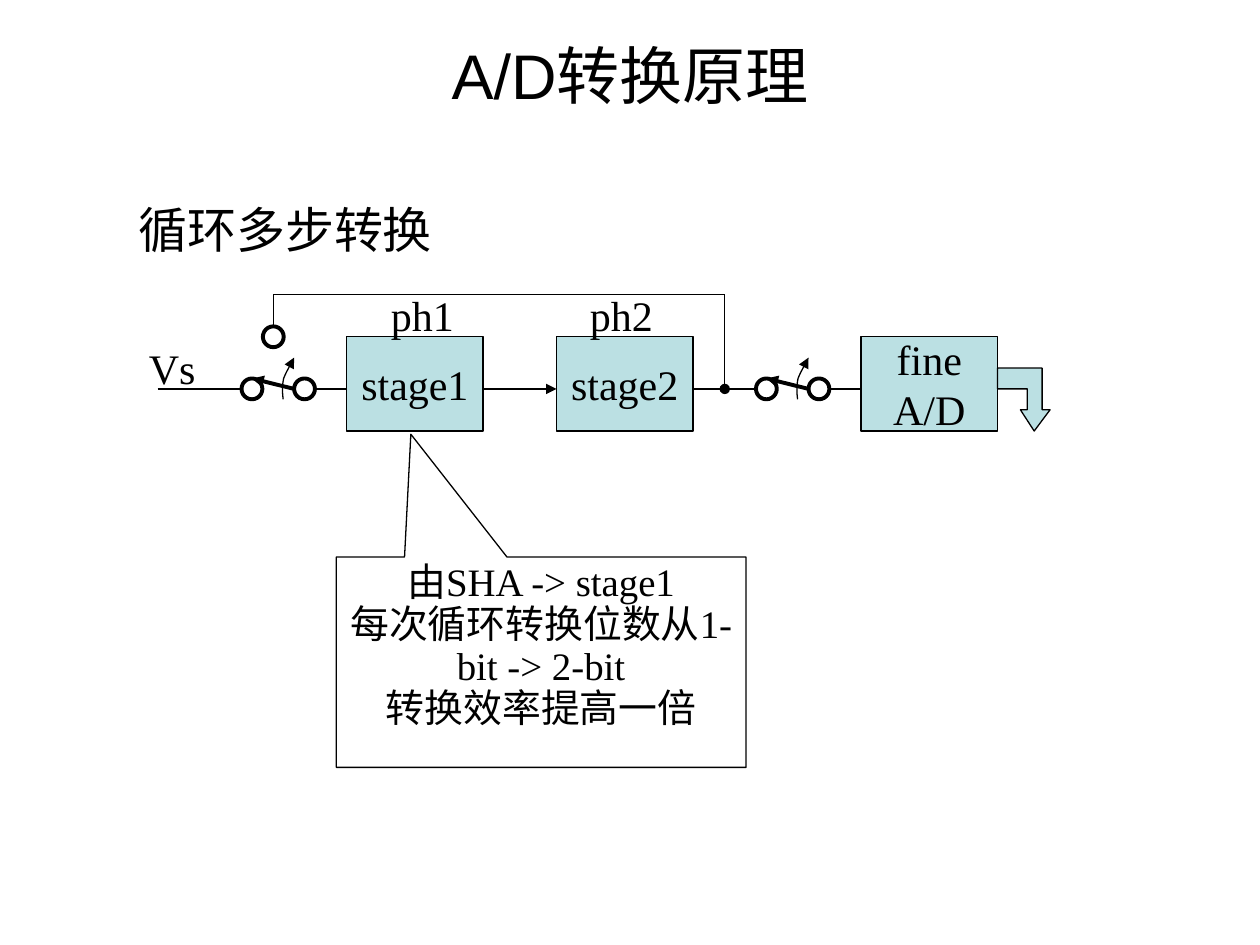
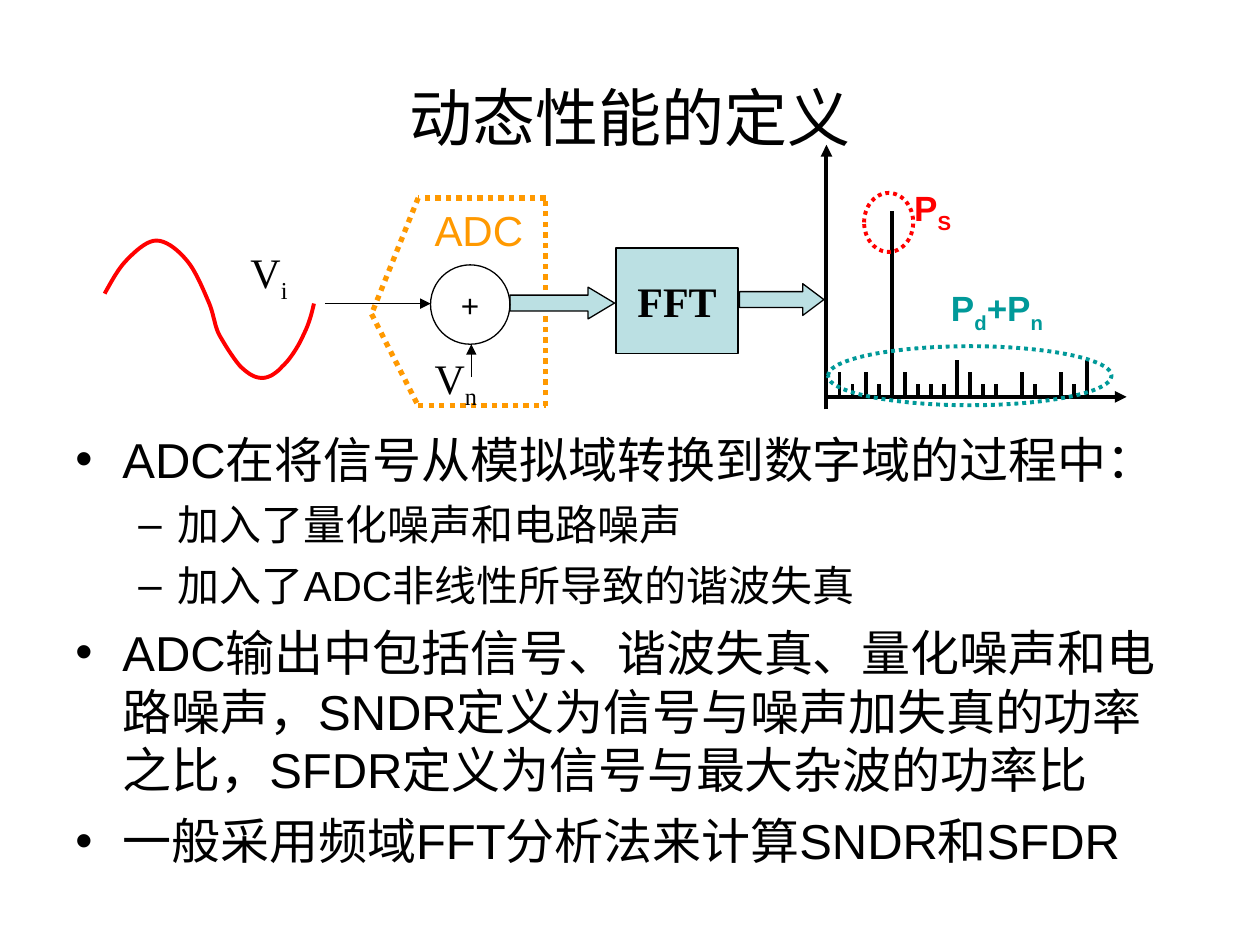
from dataclasses import dataclass
from itertools import pairwise
from typing import Any

from lxml.etree import SubElement
from pptx import Presentation
from pptx.dml.color import RGBColor
from pptx.enum.dml import MSO_LINE
from pptx.enum.shapes import MSO_CONNECTOR, MSO_SHAPE as SHAPE
from pptx.enum.text import MSO_ANCHOR as ANCHOR, PP_ALIGN as ALIGN
from pptx.oxml.ns import qn
from pptx.util import Cm, Pt

COLORS = {
    "ink": "000000",
    "block": "BBE0E3",
    "adc": "FF9900",
    "signal": "FF0000",
    "noise": "009999",
}
SANS, SERIF = "Arial", "Times New Roman"
THIN, THICK, HEAVY = 0.75, 2.25, 3


def color(name):
    return RGBColor.from_string(COLORS[name])


def add_runs(paragraph, pieces, size, font=SERIF, ink="ink", bold=False):
    """Pieces alternate between normal text and subscript."""
    for index, piece in enumerate(pieces):
        run = paragraph.add_run()
        run.text = piece
        run.font.size = Pt(size)
        run.font.name = font
        run.font.bold = bold
        run.font.color.rgb = color(ink)
        if index % 2:
            run._r.get_or_add_rPr().set("baseline", "-25000")


def write(shape, paragraphs, size, align=ALIGN.CENTER, anchor=ANCHOR.MIDDLE,
          wrap=True, spacing=None, **style):
    frame = shape.text_frame
    frame.word_wrap = wrap
    frame.vertical_anchor = anchor
    for index, pieces in enumerate(paragraphs):
        paragraph = frame.add_paragraph() if index else frame.paragraphs[0]
        paragraph.alignment = align
        if spacing:
            paragraph.line_spacing = spacing
        add_runs(paragraph, pieces, size, **style)


def outline(line, ink, width, dotted=False, head=None, tail=None):
    line.color.rgb = color(ink)
    line.width = Pt(width)
    if dotted:
        line.dash_style = MSO_LINE.ROUND_DOT
    for tag, kind in (("a:headEnd", head), ("a:tailEnd", tail)):
        if kind:
            SubElement(line._get_or_add_ln(), qn(tag)).set("type", kind)


def sample_curve(start, bends, steps=10):
    """Points along cubic curves; each bend is two controls and an end."""
    points = [start]
    for first, second, end in bends:
        begin = points[-1]
        for step in range(1, steps + 1):
            t = step / steps
            weights = ((1 - t) ** 3, 3 * t * (1 - t) ** 2, 3 * t * t * (1 - t), t ** 3)
            corners = (begin, first, second, end)
            points.append(tuple(sum(w * c[axis] for w, c in zip(weights, corners))
                                for axis in (0, 1)))
    return points


@dataclass
class Region:
    """An area of a slide; all lengths are centimetres from its corner."""
    slide: Any
    left: float
    top: float

    def inner(self, x, y):
        return Region(self.slide, self.left + x, self.top + y)

    def spot(self, x, y):
        return Cm(self.left + x), Cm(self.top + y)

    def label(self, x, y, width, height, pieces, size=24, **style):
        box = self.slide.shapes.add_textbox(*self.spot(x, y), Cm(width), Cm(height))
        write(box, [pieces], size, ALIGN.LEFT, ANCHOR.TOP, **style)

    def shape(self, kind, x, y, width, height, fill=None, ink="ink", line=THIN,
              dotted=False, adjust=()):
        shape = self.slide.shapes.add_shape(kind, *self.spot(x, y), Cm(width), Cm(height))
        for index, value in enumerate(adjust):
            shape.adjustments[index] = value
        return self.finish(shape, fill, ink, line, dotted)

    def outline_shape(self, points, closed=False, fill=None, ink="ink", line=THIN, tail=None):
        spots = [self.spot(*point) for point in points]
        builder = self.slide.shapes.build_freeform(*spots[0])
        builder.add_line_segments(spots[1:], close=closed)
        return self.finish(builder.convert_to_shape(), fill, ink, line, tail=tail)

    def finish(self, shape, fill, ink, line, dotted=False, tail=None):
        shape.shadow.inherit = False
        if fill:
            shape.fill.solid()
            shape.fill.fore_color.rgb = color(fill)
        else:
            shape.fill.background()
        outline(shape.line, ink, line, dotted, tail=tail)
        return shape

    def line(self, start, end, ink="ink", width=THIN, **ends):
        connector = self.slide.shapes.add_connector(
            MSO_CONNECTOR.STRAIGHT, *self.spot(*start), *self.spot(*end))
        outline(connector.line, ink, width, **ends)
        SubElement(connector._element.spPr, qn("a:effectLst"))


def add_title(slide, left, top, width, height, text):
    box = slide.shapes.add_textbox(Cm(left), Cm(top), Cm(width), Cm(height))
    write(box, [[text]], 36, font=SANS)


# Slide 1: cyclic converter
CONTACT = 0.42


def draw_contact(area, x, y):
    area.shape(SHAPE.OVAL, x, y, CONTACT, CONTACT, line=THICK)


def draw_switch(area):
    throw = 1.06
    for x in (0, throw):
        draw_contact(area, x, 0.42)
    area.line((throw, 0.63), (0.21, 0.42), width=THICK, tail="triangle")
    swing = sample_curve((0.84, 0.84), [
        ((0.82, 0.69), (0.82, 0.55), (0.85, 0.42)),
        ((0.9, 0.28), (1, 0.13), (throw, 0))])
    area.outline_shape(swing, tail="triangle")


def draw_cyclic_circuit(area):
    wire, stage_top, stage_width, stage_height = 1.9, 0.85, 2.75, 1.9
    stage1, stage2, fine = 3.81, 8.04, 14.18
    input_switch, output_switch, switch_width = 1.69, 12.06, 1.48
    feedback, node = 2.33, 11.43

    # Conversion stages
    for x, words in ((stage1, ["stage1"]), (stage2, ["stage2"]), (fine, ["fine", "A/D"])):
        stage = area.shape(SHAPE.RECTANGLE, x, stage_top, stage_width, stage_height, "block")
        write(stage, [[word] for word in words], 24, wrap=False)

    # Signal wire
    for start, end, tail in (
            (0, input_switch, None),
            (input_switch + switch_width, stage1, None),
            (stage1 + stage_width, stage2, "triangle"),
            (stage2 + stage_width, output_switch, None),
            (output_switch + switch_width, fine, None)):
        area.line((start, wire), (end, wire), tail=tail)

    # Feedback loop
    area.line((node, wire), (node, 0), head="oval")
    area.line((node, 0), (feedback, 0))
    area.line((feedback, 0), (feedback, 0.64))
    draw_contact(area, feedback - CONTACT / 2, 0.64)

    # Switches
    for x in (input_switch, output_switch):
        draw_switch(area.inner(x, 1.27))

    # Output arrow, bent downwards
    area.inner(fine + stage_width, 1.48).outline_shape(
        [(0.74, 1.27), (0.46, 0.84), (0.6, 0.84), (0.6, 0.42), (0, 0.42),
         (0, 0), (0.9, 0), (0.9, 0.84), (1.06, 0.84)], closed=True, fill="block")

    # Input and phase labels
    area.label(-0.43, stage_top, 2.11, 1.27, ["Vs"])
    area.label(4.45, -0.23, 1.9, 1.27, ["ph1"])
    area.label(8.46, -0.23, 1.9, 1.27, ["ph2"])


def draw_stage_note(area):
    note = area.shape(SHAPE.RECTANGULAR_CALLOUT, 0, 0, 8.26, 4.24, adjust=(-0.318, -1.084))
    write(note, [["由SHA -> stage1"], ["每次循环转换位数从1-bit -> 2-bit"], ["转换效率提高一倍"]],
          22.2, anchor=ANCHOR.TOP, spacing=0.9)


def build_principle_slide(slide):
    add_title(slide, 1.91, 0.86, 21.59, 1.27, "A/D转换原理")
    Region(slide, 2.54, 3.89).label(0, 0, 6.55, 1.45, ["循环多步转换"], 28)
    draw_cyclic_circuit(Region(slide, 3.18, 5.94))
    draw_stage_note(Region(slide, 6.78, 11.23))


# Slide 2: dynamic performance
def draw_input_wave(area):
    wave = sample_curve((0, 1.07), [
        ((0.13, 0.84), (0.25, 0.61), (0.41, 0.43)),
        ((0.58, 0.25), (0.84, 0), (1.04, 0)),
        ((1.27, 0), (1.52, 0.23), (1.68, 0.43)),
        ((1.85, 0.64), (2.01, 1.04), (2.11, 1.27)),
        ((2.21, 1.52), (2.21, 1.7), (2.31, 1.9)),
        ((2.44, 2.13), (2.62, 2.41), (2.74, 2.54)),
        ((2.9, 2.69), (3.02, 2.77), (3.18, 2.77)),
        ((3.3, 2.77), (3.45, 2.69), (3.58, 2.54)),
        ((3.73, 2.41), (3.91, 2.13), (4.01, 1.9)),
        ((4.11, 1.7), (4.17, 1.5), (4.22, 1.27))])
    area.outline_shape(wave, ink="signal", line=THICK)
    area.label(2.69, 0, 1.9, 1.42, ["V", "i"])


def draw_adc(area):
    corners = [(0.94, 0), (0, 2.34), (0.94, 4.19), (3.51, 4.19), (3.51, 0)]
    for start, end in pairwise(corners + corners[:1]):
        area.line(start, end, "adc", HEAVY, dotted=True)
    area.label(1.02, 0, 2.41, 1.27, ["ADC"], font=SANS, ink="adc")
    # Noise is added to the input
    area.line((-0.94, 2.13), (1.19, 2.13), tail="triangle")
    area.shape(SHAPE.RIGHT_ARROW, 2.79, 1.8, 2.11, 0.64, "block", adjust=(0.5, 0.833))
    adder = area.shape(SHAPE.OVAL, 1.19, 1.35, 1.6, 1.6)
    write(adder, [["+"]], 18, wrap=False, font=SANS)
    area.line((2.01, 3.61), (2.01, 2.95), tail="triangle")
    area.label(1.02, 3, 1.9, 1.42, ["V", "n"])


def draw_fft(area):
    fft = area.shape(SHAPE.RECTANGLE, 0, 0, 2.46, 2.13, "block")
    write(fft, [["FFT"]], 24, wrap=False, bold=True)
    area.shape(SHAPE.RIGHT_ARROW, 2.49, 0.72, 1.7, 0.64, "block", adjust=(0.5, 0.667))


def draw_spectrum(area):
    base, bin_gap, level = 5.08, 5.26 / 20, 0.25
    # Axes
    area.line((0, 5.33), (0, 0), width=THICK, tail="triangle")
    area.line((0, base), (6.05, base), width=THICK, tail="triangle")
    # Frequency bins, zero where there is no line
    bins = [2, 1, 2, 1, 15, 2, 1, 1, 1, 3, 2, 1, 1, 0, 2, 1, 0, 2, 1, 3]
    for number, height in enumerate(bins, 1):
        if height:
            x = number * bin_gap
            area.line((x, base), (x, base - height * level), width=THICK)
    # Signal and noise marks
    area.shape(SHAPE.OVAL, 0.76, 0.97, 0.99, 1.19, ink="signal", line=THICK, dotted=True)
    area.shape(SHAPE.OVAL, 0.03, 4.06, 5.72, 1.19, ink="noise", line=THICK, dotted=True)
    area.label(1.52, 0.71, 1.75, 1.22, ["P", "S"], 20, font=SANS, ink="signal", bold=True)
    area.label(2.26, 2.74, 3.48, 1.22, ["P", "d", "+P", "n"], 20,
               font=SANS, ink="noise", bold=True)


def add_bullets(slide, left, top, width, height, items):
    # Per level: mark, left margin, hanging indent, text size, space before
    levels = [("•", 0.95, 0.95, 28, 7), ("–", 2.06, 0.79, 24, 6)]
    frame = slide.shapes.add_textbox(Cm(left), Cm(top), Cm(width), Cm(height)).text_frame
    frame.word_wrap = True
    for index, (level, text) in enumerate(items):
        mark, margin, hang, size, before = levels[level]
        paragraph = frame.add_paragraph() if index else frame.paragraphs[0]
        paragraph.level = level
        if index:
            paragraph.space_before = Pt(before)
        properties = paragraph._p.get_or_add_pPr()
        properties.set("marL", str(Cm(margin)))
        properties.set("indent", str(-Cm(hang)))
        SubElement(properties, qn("a:buFont")).set("typeface", SANS)
        SubElement(properties, qn("a:buChar")).set("char", mark)
        add_runs(paragraph, [text], size, SANS)


def build_dynamic_slide(slide):
    add_title(slide, 1.27, 0.76, 22.86, 3.18, "动态性能的定义")
    add_bullets(slide, 1.27, 8.53, 22.86, 9.6, [
        (0, "ADC在将信号从模拟域转换到数字域的过程中："),
        (1, "加入了量化噪声和电路噪声"),
        (1, "加入了ADC非线性所导致的谐波失真"),
        (0, "ADC输出中包括信号、谐波失真、量化噪声和电路噪声，"
            "SNDR定义为信号与噪声加失真的功率之比，SFDR定义为信号与最大杂波的功率比"),
        (0, "一般采用频域FFT分析法来计算SNDR和SFDR")])
    draw_input_wave(Region(slide, 2.11, 4.85))
    draw_adc(Region(slide, 7.49, 3.99))
    draw_fft(Region(slide, 12.42, 5))
    draw_spectrum(Region(slide, 16.66, 2.92))


def main():
    deck = Presentation()
    deck.slide_width, deck.slide_height = Cm(25.4), Cm(19.05)
    blank = deck.slide_layouts[6]
    for build in (build_principle_slide, build_dynamic_slide):
        build(deck.slides.add_slide(blank))
    deck.save("out.pptx")


if __name__ == "__main__":
    main()
